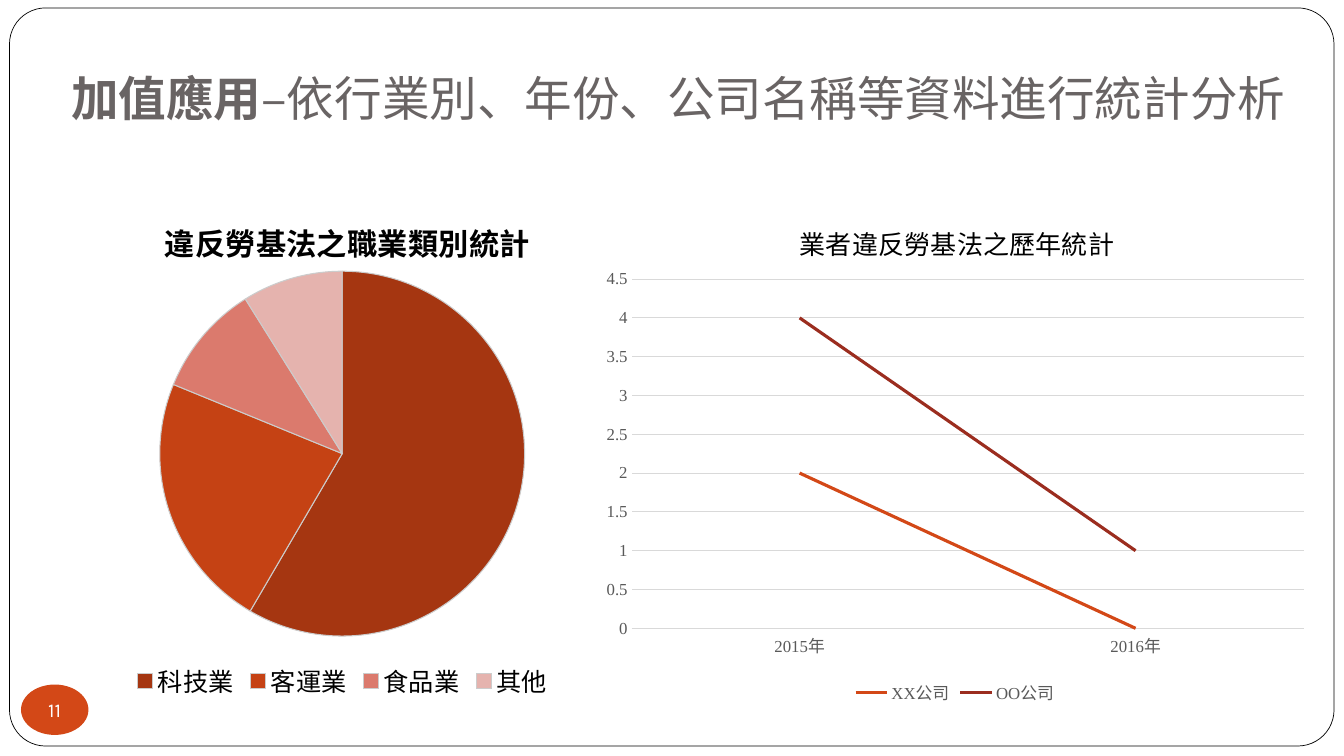
from pptx import Presentation
from pptx.chart.data import CategoryChartData
from pptx.dml.color import RGBColor
from pptx.enum.chart import XL_CHART_TYPE, XL_LEGEND_POSITION, XL_TICK_MARK
from pptx.enum.shapes import MSO_SHAPE
from pptx.enum.text import MSO_ANCHOR, PP_ALIGN
from pptx.oxml import parse_xml
from pptx.oxml.ns import nsdecls, qn
from pptx.util import Cm, Pt

HUES = {key: RGBColor.from_string(code) for key, code in {
    "white": "FFFFFF", "black": "000000", "head": "696464", "text": "595959",
    "grid": "D9D9D9", "edge": "CCCCCC", "orange": "D34817", "red": "9B2D1F",
    "tech": "A53611", "bus": "C54214", "food": "DB7A6D", "other": "E5B3AE",
}.items()}
SANS, SERIF = "Noto Sans CJK SC", "Times New Roman"


def style(font, size, hue, name, bold=False):
    font.size, font.name, font.bold = Pt(size), name, bold
    font.color.rgb = HUES[hue]
    if name == SANS:
        latin = font._element.find(qn("a:latin"))
        latin.addnext(parse_xml(f'<a:ea {nsdecls("a")} typeface="{name}"/>'))


def write(frame, text, align=PP_ALIGN.LEFT, **look):
    para = frame.paragraphs[0]
    para.alignment = align
    run = para.add_run()
    run.text = text
    style(run.font, **look)


deck = Presentation()
deck.slide_width, deck.slide_height = Cm(33.87), Cm(19.05)
slide = deck.slides.add_slide(deck.slide_layouts[6])
shapes = slide.shapes

# Frame
frame = shapes.add_shape(MSO_SHAPE.ROUNDED_RECTANGLE,
                         Cm(0.24), Cm(0.2), Cm(33.38), Cm(18.6))
frame.adjustments[0] = 0.049
frame.shadow.inherit = False
frame.fill.solid()
frame.fill.fore_color.rgb = HUES["white"]
frame.line.color.rgb = HUES["black"]
frame.line.width = Pt(0.5)

# Page number
badge = shapes.add_shape(MSO_SHAPE.OVAL, Cm(0.53), Cm(17.25), Cm(1.7), Cm(1.27))
badge.shadow.inherit = False
badge.fill.solid()
badge.fill.fore_color.rgb = HUES["orange"]
badge.line.fill.background()
body = badge.text_frame
body.margin_left = body.margin_right = body.margin_top = body.margin_bottom = 0
body.word_wrap = False
body.vertical_anchor = MSO_ANCHOR.MIDDLE
write(body, "11", PP_ALIGN.CENTER, size=14, hue="white", name="Karla")

# Charts: type, place, data, title and legend looks, title and plot layout
plans = [
    (XL_CHART_TYPE.PIE, (0.94, 4.52, 15.37, 13.23),
     ["科技業", "客運業", "食品業", "其他"],
     {"違反勞基法之職業類別統計": (59, 23, 10, 9)}, "違反勞基法之職業類別統計",
     dict(size=21.6, hue="black", name=SANS, bold=True),
     dict(size=18, hue="black", name=SANS),
     dict(x=0.2, y=0.06), dict(x=0.2, y=0.175, w=0.6, h=0.695)),
    (XL_CHART_TYPE.LINE_STACKED, (14.91, 4.8, 18.31, 13.06),
     ["2015年", "2016年"],
     {"XX公司": (2, 0), "OO公司": (2, 1)}, "業者違反勞基法之歷年統計",
     dict(size=18.6, hue="black", name=SANS),
     dict(size=12, hue="text", name=SERIF),
     dict(x=0.28, y=0.05), dict(x=0.055, y=0.171, w=0.925, h=0.674)),
]
charts = []
for kind, place, cats, rows, title, look, key, spot, area in plans:
    data = CategoryChartData()
    data.categories = cats
    for name, vals in rows.items():
        data.add_series(name, vals)
    chart = shapes.add_chart(kind, *map(Cm, place), data).chart
    style(chart.font, 12, "black", SERIF)
    chart.has_title = True
    write(chart.chart_title.text_frame, title, PP_ALIGN.CENTER, **look)
    chart.has_legend = True
    chart.legend.position = XL_LEGEND_POSITION.BOTTOM
    chart.legend.include_in_layout = False
    style(chart.legend.font, **key)
    chart.plots[0].vary_by_categories = kind == XL_CHART_TYPE.PIE

    # Fixed title and plot positions
    plot = chart._chartSpace.chart.plotArea
    for node, index, box in ((chart.chart_title._element, 1, spot), (plot, 0, area)):
        for old in node.findall(qn("c:layout")):
            node.remove(old)
        inner = '<c:layoutTarget val="inner"/>' if node is plot else ""
        modes = "".join(f'<c:{side}Mode val="edge"/>' for side in "xy")
        sizes = "".join(f'<c:{side} val="{val}"/>' for side, val in box.items())
        node.insert(index, parse_xml(
            f'<c:layout {nsdecls("c")}><c:manualLayout>{inner}{modes}{sizes}'
            '</c:manualLayout></c:layout>'))
    charts.append(chart)
pie, trend = charts

# Pie slices
slices = pie.plots[0].series[0].points
for index, hue in enumerate(("tech", "bus", "food", "other")):
    part = slices[index].format
    part.fill.solid()
    part.fill.fore_color.rgb = HUES[hue]
    part.line.color.rgb = HUES["edge"]
    part.line.width = Pt(0.75)

# Trend lines
for row, hue in zip(trend.plots[0].series, ("orange", "red")):
    row.smooth = False
    row.format.line.color.rgb = HUES[hue]
    row.format.line.width = Pt(2.25)

# Axes
across, up = trend.category_axis, trend.value_axis
for axis in (across, up):
    axis.major_tick_mark = axis.minor_tick_mark = XL_TICK_MARK.NONE
    style(axis.tick_labels.font, 12, "text", SERIF)
up.minimum_scale, up.maximum_scale, up.major_unit = 0, 4.5, 0.5
up.format.line.fill.background()
up.has_major_gridlines = True
for line in (across.format.line, up.major_gridlines.format.line):
    line.color.rgb = HUES["grid"]
    line.width = Pt(0.75)

# Heading
head = shapes.add_textbox(Cm(1.55), Cm(0.61), Cm(31.88), Cm(2.82)).text_frame
head.word_wrap = True
head.vertical_anchor = MSO_ANCHOR.BOTTOM
head.margin_bottom = Cm(0.25)
for text, bold in (("加值應用", True), ("–依行業別、年份、公司名稱等資料進行統計分析", False)):
    write(head, text, size=34, hue="head", name=SANS, bold=bold)

deck.save("out.pptx")
